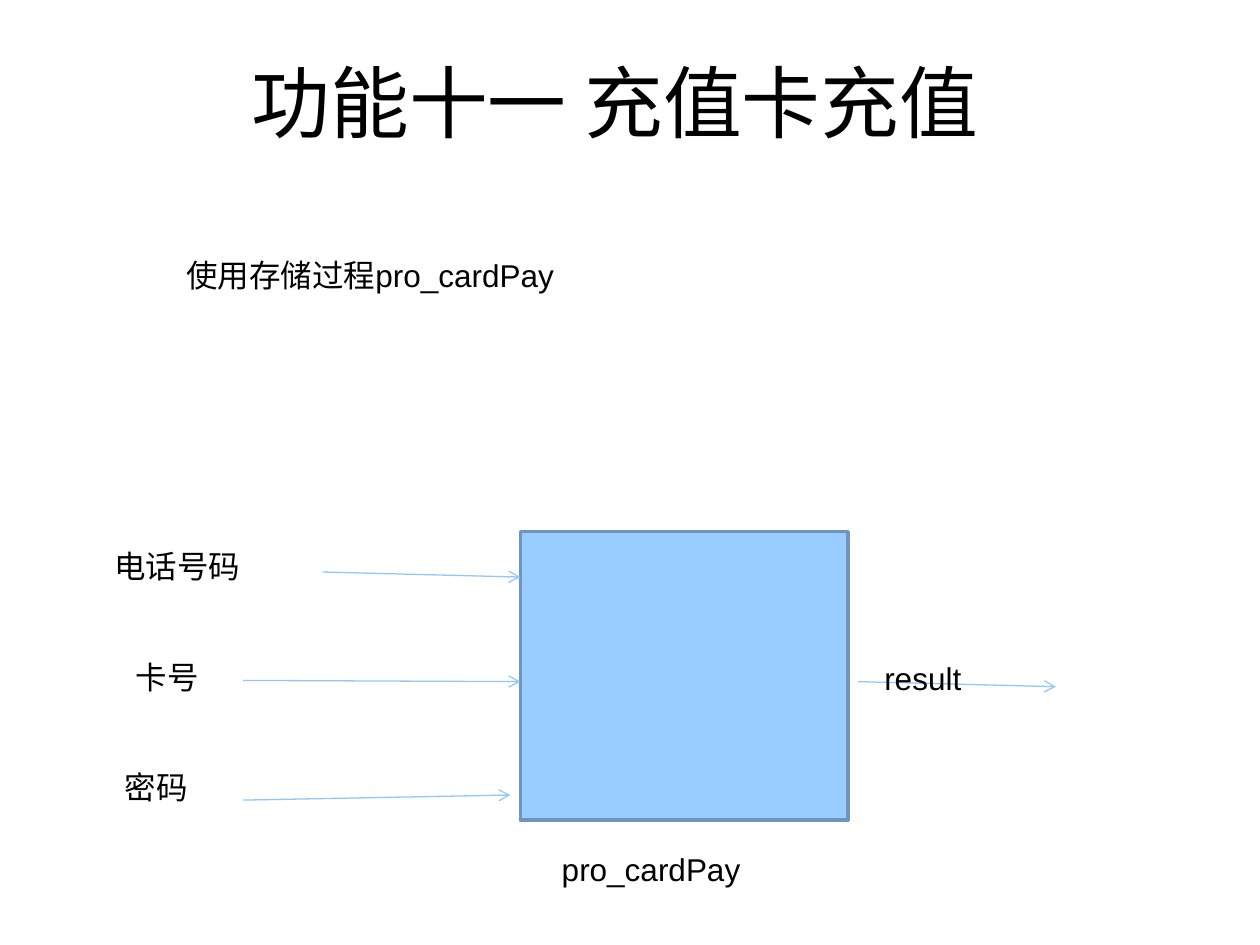
"""Build the slide on topping up a phone with a prepaid card."""
from typing import NamedTuple

import pptx
import pptx.dml.color
import pptx.enum.shapes
import pptx.enum.text
import pptx.oxml
import pptx.oxml.ns
import pptx.util

WIDTH, HEIGHT = 10, 7.5
COLORS = {"text": "000000", "box": "99CCFF", "border": "6F95BC", "arrow": "93C7FC"}
PROCEDURE = "pro_cardPay"
BOX_LEFT, BOX_TOP, BOX_WIDTH, BOX_HEIGHT = 4.13, 4.22, 2.6, 2.29
LABEL_HEIGHT = 0.4
ROW_TOP, ROW_STEP = 4.29, 0.88


class Label(NamedTuple):
    text: str
    left: float
    top: float
    width: float


class Arrow(NamedTuple):
    start_x: float
    start_y: float
    end_x: float
    end_y: float


LABELS = [
    Label(PROCEDURE, 4.36, 6.7, 2.69),
    Label("result", 6.92, 5.18, 2.64),
    Label("电话号码", 0.81, ROW_TOP, 1.54),
    Label("卡号", 0.98, ROW_TOP + ROW_STEP, 1.1),
    Label("密码", 0.89, ROW_TOP + 2 * ROW_STEP, 1.2),
]
ARROWS = [
    Arrow(2.56, 4.54, BOX_LEFT, 4.58),
    Arrow(1.93, 5.4, BOX_LEFT, 5.41),
    Arrow(1.93, 6.35, 4.05, 6.31),
    Arrow(6.81, 5.41, 8.38, 5.45),
]


def inches(*lengths: float) -> list:
    return [pptx.util.Inches(length) for length in lengths]


def color(name: str) -> pptx.dml.color.RGBColor:
    return pptx.dml.color.RGBColor.from_string(COLORS[name])


def apply(target, formats: dict) -> None:
    for name, value in formats.items():
        setattr(target, name, value)


def write(shape, text: str, size: float, frame_formats: dict, paragraph_formats: dict):
    frame = shape.text_frame
    frame.text = text
    apply(frame, {"word_wrap": True, **frame_formats})
    paragraph = frame.paragraphs[0]
    apply(paragraph, paragraph_formats)
    apply(paragraph.font, {"size": pptx.util.Pt(size), "name": "Arial"})
    paragraph.font.color.rgb = color("text")
    return paragraph


def place(shape, left: float, top: float, width: float, height: float) -> None:
    apply(shape, dict(zip(("left", "top", "width", "height"), inches(left, top, width, height))))


def draw_label(slide, label: Label) -> None:
    caption = slide.shapes.add_textbox(*inches(label.left, label.top, label.width, LABEL_HEIGHT))
    write(caption, label.text, 18, {"auto_size": pptx.enum.text.MSO_AUTO_SIZE.SHAPE_TO_FIT_TEXT}, {})


def draw_arrow(slide, arrow: Arrow) -> None:
    flow = slide.shapes.add_connector(pptx.enum.shapes.MSO_CONNECTOR.STRAIGHT, *inches(*arrow))
    flow.line.color.rgb = color("arrow")
    flow.line.width = pptx.util.Pt(0.75)
    pptx.oxml.ns.qn("a:tailEnd")
    head = flow.line._get_or_add_ln().makeelement(pptx.oxml.ns.qn("a:tailEnd"), {"type": "arrow"})
    flow.line._get_or_add_ln().append(head)
    properties = flow._element.spPr
    properties.append(properties.makeelement(pptx.oxml.ns.qn("a:effectLst"), {}))


def draw_procedure(slide) -> None:
    procedure = slide.shapes.add_shape(
        pptx.enum.shapes.MSO_SHAPE.RECTANGLE, *inches(BOX_LEFT, BOX_TOP, BOX_WIDTH, BOX_HEIGHT))
    procedure.shadow.inherit = False
    procedure.fill.solid()
    procedure.fill.fore_color.rgb = color("box")
    procedure.line.color.rgb = color("border")
    procedure.line.width = pptx.util.Pt(2)


def fill_placeholders(slide) -> None:
    heading, statement = slide.placeholders
    fixed = {"auto_size": pptx.enum.text.MSO_AUTO_SIZE.NONE}
    place(heading, 0.45, 0.53, 8.86, 0.7)
    write(heading, "功能十一 充值卡充值", 45,
          {**fixed, "vertical_anchor": pptx.enum.text.MSO_ANCHOR.BOTTOM},
          {"alignment": pptx.enum.text.PP_ALIGN.CENTER})
    place(statement, 1.38, 1.23, 7.92, 5.35)
    paragraph = write(statement, f"使用存储过程{PROCEDURE}", 18,
                      {**fixed, "margin_top": pptx.util.Inches(0.8)},
                      {"space_before": pptx.util.Pt(0)})
    properties = paragraph._p.get_or_add_pPr()
    apply(properties, {})
    for name in ("marL", "indent"):
        properties.set(name, "0")
    properties.insert_element_before(
        properties.makeelement(pptx.oxml.ns.qn("a:buNone"), {}), "a:tabLst", "a:defRPr", "a:extLst")


def main() -> None:
    deck = pptx.Presentation()
    apply(deck, dict(zip(("slide_width", "slide_height"), inches(WIDTH, HEIGHT))))
    slide = deck.slides.add_slide(deck.slide_layouts[1])
    fill_placeholders(slide)
    draw_procedure(slide)
    for arrow in ARROWS:
        draw_arrow(slide, arrow)
    for label in LABELS:
        draw_label(slide, label)
    deck.save("out.pptx")


if __name__ == "__main__":
    main()
